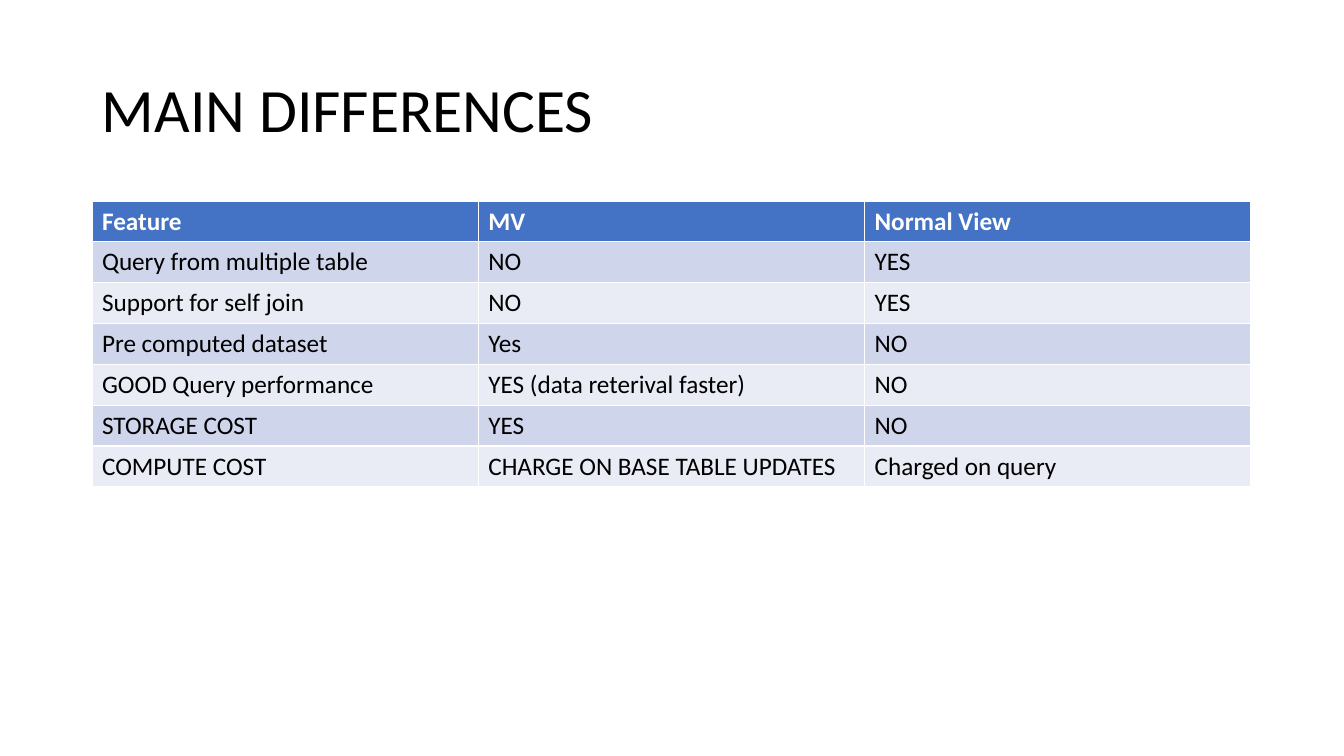
"""Build the slide comparing materialized and normal views."""
from pptx import Presentation
from pptx.dml.color import RGBColor
from pptx.enum.text import MSO_ANCHOR
from pptx.util import Pt

PX = 914400 / 100.8
BLACK = RGBColor(0x00, 0x00, 0x00)
WHITE = RGBColor(0xFF, 0xFF, 0xFF)
HEADER_BLUE = RGBColor(0x44, 0x72, 0xC4)
BANDS = [RGBColor(0xE9, 0xEB, 0xF5), RGBColor(0xCF, 0xD5, 0xEA)]
LEFT, WIDTH = 92, 1159

ROWS = [
    ("Feature", "MV", "Normal View"),
    ("Query from multiple table", "NO", "YES"),
    ("Support for self join", "NO", "YES"),
    ("Pre computed dataset", "Yes", "NO"),
    ("GOOD Query performance", "YES (data reterival faster)", "NO"),
    ("STORAGE COST", "YES", "NO"),
    ("COMPUTE COST", "CHARGE ON BASE TABLE UPDATES", "Charged on query"),
]


def px(length):
    return round(length * PX)


def add_run(paragraph, text, size, color, bold=False):
    run = paragraph.add_run()
    run.text = text
    run.font.name = "Calibri"
    run.font.size = Pt(size)
    run.font.bold = bold
    run.font.color.rgb = color


presentation = Presentation()
presentation.slide_width = px(1344)
presentation.slide_height = px(756)
slide = presentation.slides.add_slide(presentation.slide_layouts[6])

title = slide.shapes.add_textbox(px(LEFT), px(40), px(WIDTH), px(146))
title.text_frame.word_wrap = True
title.text_frame.vertical_anchor = MSO_ANCHOR.MIDDLE
title_paragraph = title.text_frame.paragraphs[0]
title_paragraph.line_spacing = 0.9
add_run(title_paragraph, "MAIN DIFFERENCES", 44, BLACK)

table = slide.shapes.add_table(
    len(ROWS), len(ROWS[0]), px(LEFT), px(201), px(WIDTH), px(286)
).table
for row_index, texts in enumerate(ROWS):
    is_header = row_index == 0
    for column_index, text in enumerate(texts):
        cell = table.cell(row_index, column_index)
        cell.fill.solid()
        cell.fill.fore_color.rgb = HEADER_BLUE if is_header else BANDS[row_index % 2]
        text_color = WHITE if is_header else BLACK
        add_run(cell.text_frame.paragraphs[0], text, 18, text_color, is_header)

presentation.save("out.pptx")
